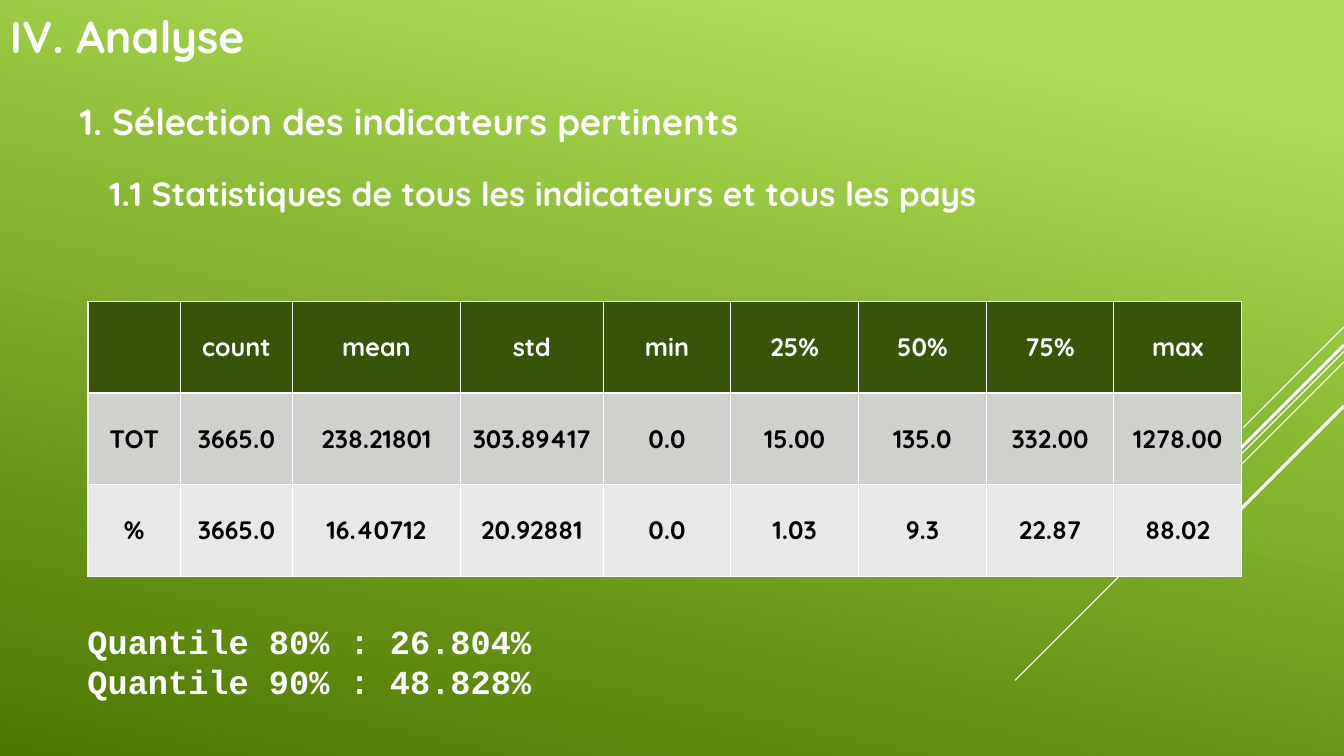
from lxml.etree import SubElement
from pptx import Presentation
from pptx.dml.color import RGBColor
from pptx.enum.shapes import MSO_CONNECTOR
from pptx.enum.text import MSO_ANCHOR, PP_ALIGN
from pptx.oxml import parse_xml
from pptx.oxml.ns import nsdecls, qn
from pptx.util import Pt

# Content
HEADINGS = [  # text, size, indent, space before
    ("IV. Analyse", 32, 0, 0),
    ("1. Sélection des indicateurs pertinents", 26, 50, 26),
    ("1.1 Statistiques de tous les indicateurs et tous les pays", 24, 71, 21),
]
STATISTICS = [
    ["", "count", "mean", "std", "min", "25%", "50%", "75%", "max"],
    ["TOT", "3665.0", "238.21801", "303.89417", "0.0", "15.00", "135.0", "332.00", "1278.00"],
    ["%", "3665.0", "16.40712", "20.92881", "0.0", "1.03", "9.3", "22.87", "88.02"],
]
QUANTILES = ["Quantile 80% : 26.804%", "Quantile 90% : 48.828%"]

# Layout and style
WIDTH, HEIGHT = 960, 540
WHITE, BLACK = "FFFFFF", "000000"
COLUMN_WIDTHS = [66, 80, 120, 102] + [91.2] * 5
ROW_HEIGHT = 65.5
ROW_STYLES = [("38540A", WHITE), ("CED1CC", BLACK), ("E8E9E7", BLACK)]
GRADIENT = [(0.1, "ACDF55"), (1, "4C7800")]
DIAGONALS = [  # height at the right edge, run, line width
    (233.5, 72, 0.75),
    (251, 235, 0.75),
    (258.5, 149, 0.75),
    (246.5, 137.5, 2.25),
    (290, 100, 2.25),
]


def color(value):
    return RGBColor.from_string(value)


def style(para, font, size, value):
    for span in para.runs:
        span.font.name = font
        span.font.size = Pt(size)
        span.font.bold = True
        span.font.color.rgb = color(value)


def add_text_box(page, left, top, width, height, lines):
    box = page.shapes.add_textbox(Pt(left), Pt(top), Pt(width), Pt(height))
    frame = box.text_frame
    frame.word_wrap = True
    frame.text = "\n".join(lines)
    return frame


def add_borders(cell):
    properties = cell._tc.get_or_add_tcPr()
    for position, side in enumerate(("lnL", "lnR", "lnT", "lnB")):
        border = parse_xml(
            f'<a:{side} {nsdecls("a")} w="{Pt(1)}"><a:solidFill>'
            f'<a:srgbClr val="{WHITE}"/></a:solidFill></a:{side}>'
        )
        properties.insert(position, border)


deck = Presentation()
deck.slide_width, deck.slide_height = Pt(WIDTH), Pt(HEIGHT)
page = deck.slides.add_slide(deck.slide_layouts[6])

# Background gradient
background = page.background.fill
background.gradient()
background.gradient_angle = 258
for stop, (position, value) in zip(background.gradient_stops, GRADIENT):
    stop.position = position
    stop.color.rgb = color(value)

# Diagonal lines, all at 45 degrees from the right edge
for top, run, line_width in DIAGONALS:
    diagonal = page.shapes.add_connector(
        MSO_CONNECTOR.STRAIGHT, Pt(WIDTH), Pt(top), Pt(WIDTH - run), Pt(top + run)
    )
    diagonal.line.color.rgb = color(WHITE)
    diagonal.line.width = Pt(line_width)
    SubElement(diagonal._element.spPr, qn("a:effectLst"))

# Headings
frame = add_text_box(page, 0, 3, WIDTH, 170, [heading[0] for heading in HEADINGS])
for para, (_, size, indent, gap) in zip(frame.paragraphs, HEADINGS):
    para.space_before = Pt(gap)
    para._p.get_or_add_pPr().set("marL", str(Pt(indent)))
    style(para, "Quicksand", size, WHITE)

# Statistics table
table = page.shapes.add_table(
    len(STATISTICS), len(COLUMN_WIDTHS), Pt(62.9), Pt(215.2),
    Pt(sum(COLUMN_WIDTHS)), Pt(ROW_HEIGHT * len(STATISTICS)),
).table
for column, width in zip(table.columns, COLUMN_WIDTHS):
    column.width = Pt(width)
for row, values, (fill, text_color) in zip(table.rows, STATISTICS, ROW_STYLES):
    row.height = Pt(ROW_HEIGHT)
    for cell, value in zip(row.cells, values):
        cell.fill.solid()
        cell.fill.fore_color.rgb = color(fill)
        add_borders(cell)
        cell.vertical_anchor = MSO_ANCHOR.MIDDLE
        cell.text_frame.text = value
        para = cell.text_frame.paragraphs[0]
        para.alignment = PP_ALIGN.CENTER
        style(para, "Quicksand", 18, text_color)

# Quantiles
frame = add_text_box(page, 55.4, 440, 340.6, 65.5, QUANTILES)
for para in frame.paragraphs:
    style(para, "Courier New", 24, WHITE)

deck.save("out.pptx")
